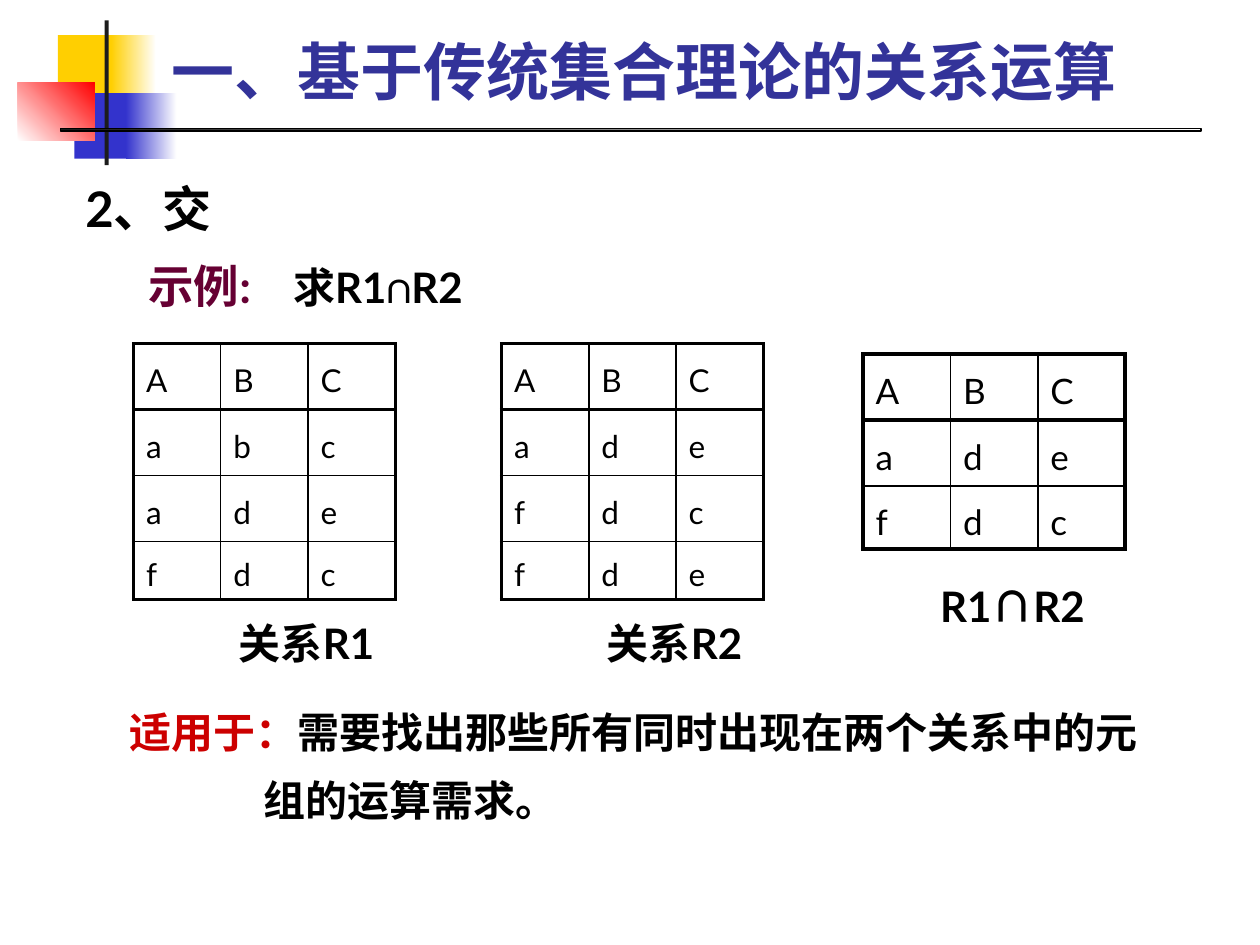
from dataclasses import dataclass

from pptx import Presentation
from pptx.dml.color import RGBColor
from pptx.enum.shapes import MSO_SHAPE
from pptx.enum.text import MSO_ANCHOR, PP_ALIGN
from pptx.oxml.xmlchemy import OxmlElement
from pptx.util import Cm, Pt


@dataclass(frozen=True)
class Theme:
    font: str = "Lato"
    symbol_font: str = "Noto Sans CJK SC"
    ink: str = "000000"
    paper: str = "FFFFFF"
    title: str = "333399"
    example: str = "660033"
    usage: str = "CC0000"
    yellow: str = "FFCF01"
    blue: str = "3333CC"
    red: str = "FF0000"
    charcoal: str = "1C1C1C"
    title_size: int = 36
    heading_size: int = 28
    example_size: int = 26
    text_size: int = 24
    cell_size: int = 18
    result_cell_size: int = 20
    outer_line: float = 2.25
    inner_line: float = 1


THEME = Theme()
COLUMN_WIDTH = 1.76


def rgb(color):
    return RGBColor.from_string(color)


def style_run(run, size, color, bold=True, font=THEME.font):
    run.font.size = Pt(size)
    run.font.bold = bold
    run.font.color.rgb = rgb(color)
    run.font.name = font
    east_asian = OxmlElement("a:ea")
    east_asian.set("typeface", font)
    run._r.get_or_add_rPr().append(east_asian)


def add_runs(paragraph, *parts):
    """Each part is (text, size, color), optionally followed by a font."""
    for text, size, color, *font in parts:
        run = paragraph.add_run()
        run.text = text
        style_run(run, size, color, True, *font)


def add_text_frame(slide, left, top, width, height, anchor=MSO_ANCHOR.TOP):
    frame = slide.shapes.add_textbox(Cm(left), Cm(top), Cm(width), Cm(height)).text_frame
    frame.word_wrap = True
    frame.vertical_anchor = anchor
    return frame


def indent(paragraph, margin, first_line=0):
    properties = paragraph._p.get_or_add_pPr()
    properties.set("marL", str(Cm(margin)))
    properties.set("indent", str(Cm(first_line)))


def add_block(slide, left, top, width, height, color, fade_to=None, angle=0):
    block = slide.shapes.add_shape(
        MSO_SHAPE.RECTANGLE, Cm(left), Cm(top), Cm(width), Cm(height))
    block.shadow.inherit = False
    block.line.fill.background()
    if fade_to is None:
        block.fill.solid()
        block.fill.fore_color.rgb = rgb(color)
    else:
        block.fill.gradient()
        block.fill.gradient_angle = angle
        for stop, stop_color in zip(block.fill.gradient_stops, (color, fade_to)):
            stop.color.rgb = rgb(stop_color)
    return block


def add_ornament(slide):
    add_block(slide, 1.17, 0.71, 1.22, 1.32, THEME.yellow)
    add_block(slide, 2.24, 0.71, 0.91, 1.32, THEME.yellow, THEME.paper)
    add_block(slide, 1.5, 1.88, 1.17, 1.32, THEME.blue)
    add_block(slide, 2.54, 1.88, 1.02, 1.32, THEME.blue, THEME.paper)
    add_block(slide, 0.36, 1.67, 1.55, 1.17, THEME.paper, THEME.red, 45)
    add_block(slide, 2.11, 0.41, 0.08, 2.92, THEME.charcoal)
    rule = add_block(slide, 1.22, 2.59, 22.99, 0.05, THEME.charcoal, THEME.paper)
    rule.line.color.rgb = rgb(THEME.ink)
    rule.line.width = Pt(0.75)


def set_borders(cell, widths):
    """Draw the cell's left, right, top and bottom lines, in that order."""
    properties = cell._tc.get_or_add_tcPr()
    for position, (side, width) in enumerate(zip("LRTB", widths)):
        line = OxmlElement(f"a:ln{side}")
        line.set("w", str(Pt(width)))
        fill = OxmlElement("a:solidFill")
        color = OxmlElement("a:srgbClr")
        color.set("val", THEME.ink)
        fill.append(color)
        line.append(fill)
        properties.insert(position, line)


def add_relation(slide, left, top, rows, row_heights, size):
    """Add a relation; each row is a string with one letter per attribute."""
    columns = len(rows[0])
    relation = slide.shapes.add_table(
        len(rows), columns, Cm(left), Cm(top),
        Cm(COLUMN_WIDTH * columns), Cm(sum(row_heights))).table
    relation.first_row = relation.horz_banding = False
    for column in relation.columns:
        column.width = Cm(COLUMN_WIDTH)
    for r, (letters, height) in enumerate(zip(rows, row_heights)):
        relation.rows[r].height = Cm(height)
        for c, letter in enumerate(letters):
            cell = relation.cell(r, c)
            cell.vertical_anchor = MSO_ANCHOR.MIDDLE
            cell.fill.background()
            cell.text_frame.text = letter
            paragraph = cell.text_frame.paragraphs[0]
            paragraph.line_spacing = 1.2
            style_run(paragraph.runs[0], size, THEME.ink, bold=False)
            heavy = (c == 0, c == columns - 1, r <= 1, r in (0, len(rows) - 1))
            set_borders(cell, [THEME.outer_line if h else THEME.inner_line for h in heavy])


def add_caption(slide, left, top, width, *parts):
    paragraph = add_text_frame(slide, left, top, width, 1.27).paragraphs[0]
    paragraph.alignment = PP_ALIGN.CENTER
    add_runs(paragraph, *parts)


def add_title(slide):
    frame = add_text_frame(slide, 3.2, 0.58, 21.64, 1.73, MSO_ANCHOR.BOTTOM)
    add_runs(frame.paragraphs[0],
             ("一、基于传统集合理论的关系运算", THEME.title_size, THEME.title))


def add_problem(slide):
    frame = add_text_frame(slide, 1.47, 3.23, 22.76, 3.2)
    heading = frame.paragraphs[0]
    indent(heading, 0.97, -0.97)
    add_runs(heading, ("2、交", THEME.heading_size, THEME.ink))
    example = frame.add_paragraph()
    indent(example, 2.06, -0.79)
    example.space_before = Pt(6)
    add_runs(example,
             ("示例:", THEME.example_size, THEME.example),
             ("　求R1∩R2", THEME.text_size, THEME.ink))
    for paragraph in frame.paragraphs:
        paragraph.line_spacing = 1.2


def add_usage(slide):
    frame = add_text_frame(slide, 1.09, 13.92, 22.61, 2.9)
    opening = frame.paragraphs[0]
    indent(opening, 1.27)
    add_runs(opening,
             ("适用于：", THEME.text_size, THEME.usage),
             ("需要找出那些所有同时出现在两个关系中的元", THEME.text_size, THEME.ink))
    continuation = frame.add_paragraph()
    indent(continuation, 3.98)
    continuation.space_before = Pt(4)
    add_runs(continuation, ("组的运算需求。", THEME.text_size, THEME.ink))
    for paragraph in frame.paragraphs:
        paragraph.line_spacing = 1.2


def main():
    deck = Presentation()
    deck.slide_width, deck.slide_height = Cm(25.4), Cm(19.05)
    slide = deck.slides.add_slide(deck.slide_layouts[6])
    add_ornament(slide)
    add_title(slide)
    add_problem(slide)

    operands = (
        ("关系R1", 2.69, 3.68, ("ABC", "abc", "ade", "fdc")),
        ("关系R2", 10.11, 11.1, ("ABC", "ade", "fdc", "fde")),
    )
    for name, left, caption_left, rows in operands:
        add_relation(slide, left, 6.93, rows, (1.33, 1.33, 1.33, 1.07), THEME.cell_size)
        add_caption(slide, caption_left, 12.32, 5, (name, THEME.text_size, THEME.ink))

    add_usage(slide)
    add_caption(slide, 18.52, 11.58, 3.78,
                ("R1", THEME.text_size, THEME.ink),
                ("∩", THEME.text_size, THEME.ink, THEME.symbol_font),
                ("R2", THEME.text_size, THEME.ink))
    add_relation(slide, 17.4, 7.14, ("ABC", "ade", "fdc"), (1.33, 1.33, 1.17),
                 THEME.result_cell_size)
    deck.save("out.pptx")


if __name__ == "__main__":
    main()
